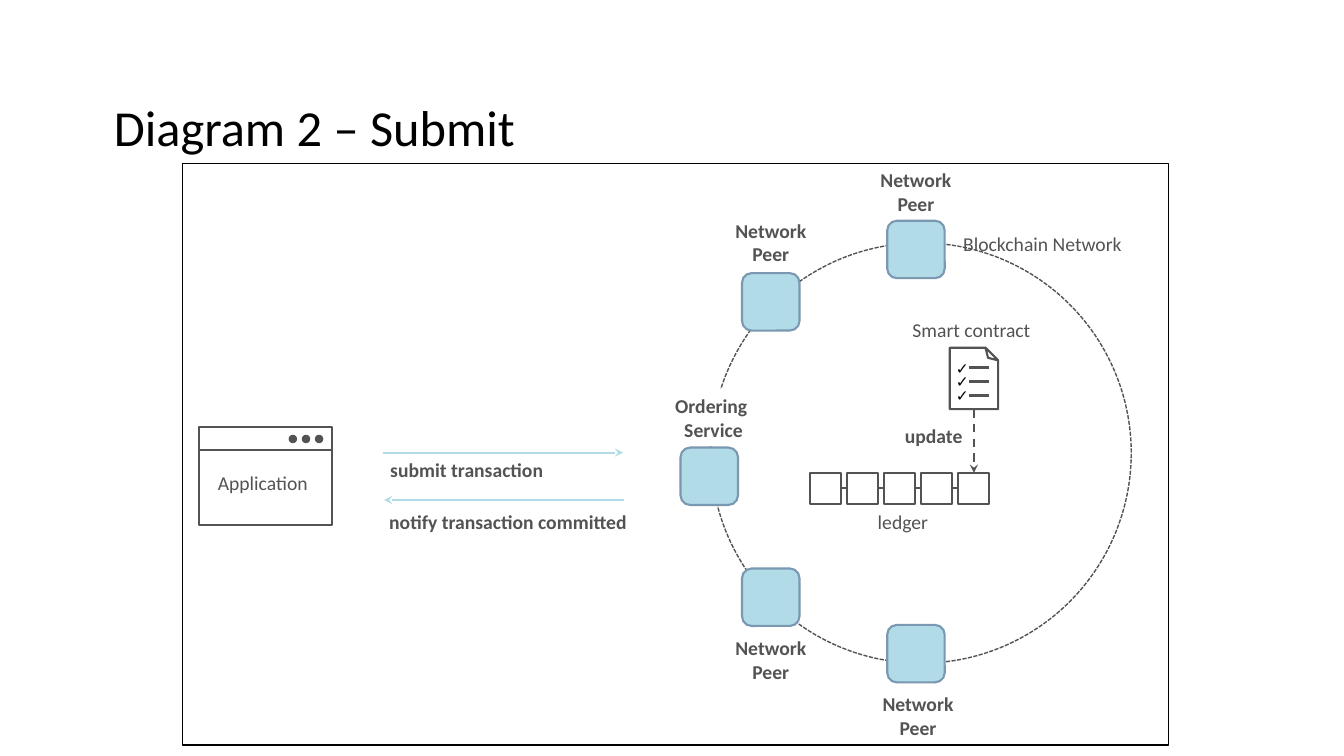
"""Build the slide that shows how an application submits a transaction."""
from pptx import Presentation
from pptx.dml.color import RGBColor
from pptx.enum.dml import MSO_LINE
from pptx.enum.shapes import MSO_CONNECTOR, MSO_SHAPE
from pptx.enum.text import MSO_ANCHOR, MSO_AUTO_SIZE, PP_ALIGN
from pptx.oxml.ns import qn
from pptx.util import Inches, Pt
from lxml import etree

RECT, OVAL = MSO_SHAPE.RECTANGLE, MSO_SHAPE.OVAL
ROUND, FOLD = MSO_SHAPE.ROUNDED_RECTANGLE, MSO_SHAPE.FOLDED_CORNER
LEFT, CENTER = PP_ALIGN.LEFT, PP_ALIGN.CENTER
DASH, DOTS = MSO_LINE.DASH, MSO_LINE.SQUARE_DOT
STRAIGHT = MSO_CONNECTOR.STRAIGHT
MIDDLE = MSO_ANCHOR.MIDDLE
GROW, FIXED = MSO_AUTO_SIZE.SHAPE_TO_FIT_TEXT, MSO_AUTO_SIZE.NONE
GREY, BLUE, EDGE, BLACK, WHITE = "535353", "B1DBE6", "7A98B2", "000000", "FFFFFF"

COLS, ROWS = 13.33, 7.5
TITLE = "Diagram 2 – Submit"
TITLE_BOX = (1.08, 0.57, 11.5, 1.45)
FRAME = (1.81, 1.62, 9.78, 5.77)
RING = (7.05, 2.41, 4.17, 4.17)
SIDE = 0.57
NODES = [
    (6.75, 4.44, "Ordering\n Service", -0.58, 0.02, WHITE),
    (7.36, 5.64, "Network \nPeer", 0.62, 0, None),
    (7.36, 2.71, "Network\nPeer", -0.59, 0, WHITE),
    (8.8, 6.2, "Network \nPeer", 0.62, 0.02, None),
    (8.8, 2.19, "Network\nPeer", -0.57, 0, None),
]
LABEL = 0.84
APP = (1.97, 4.24, 1.32, 0.97)
BAR = 0.22
DOT, DOT_STEP, DOT_COUNT = 0.07, 0.13, 3
CALLS = [((3.8, 4.49), (6.18, 4.49)), ((6.19, 4.96), (3.81, 4.96))]
PAGE = (9.42, 3.45, 0.48, 0.61)
CHECK, CHECK_STEP, CHECK_COUNT = 3.51, 0.27 / 2, 3
CELL, CELL_COUNT = 0.31, 5
CHAIN, CHAIN_END = (8.03, 4.69), 9.5
CELL_STEP = (CHAIN_END - CHAIN[0]) / (CELL_COUNT - 1)
NOTES = [
    ("Application", (2.11, 4.62, 1.01, 0.34), {"align": LEFT}),
    ("submit transaction", (3.81, 4.49, 1.64, 0.34), {"bold": True}),
    ("notify transaction committed", (3.81, 5.01, 2.58, 0.34),
     {"bold": True, "align": LEFT, "wrap": True}),
    ("Smart contract", (8.98, 3.11, 1.31, 0.34), {}),
    ("update", (8.92, 4.16, 0.68, 0.34), {"bold": True}),
    ("ledger", (8.65, 5.01, 0.61, 0.34), {}),
    ("Blockchain Network", (9.47, 2.25, 1.74, 0.34), {}),
]

deck = Presentation()
deck.slide_width, deck.slide_height = Inches(COLS), Inches(ROWS)
slide = deck.slides.add_slide(deck.slide_layouts[5])


def tint(code):
    return RGBColor.from_string(code)


def grid(box):
    return [Inches(part) for part in box]


def write(frame, text, size=14, color=GREY, bold=False, align=CENTER,
          wrap=False, fit=GROW):
    frame.margin_left = frame.margin_right = Inches(0.05)
    frame.margin_top = frame.margin_bottom = Inches(0.05)
    frame.word_wrap, frame.auto_size = wrap, fit
    frame.text = text
    for para in frame.paragraphs:
        para.alignment = align
        font = para.runs[0].font
        font.name, font.size, font.bold = "Calibri", Pt(size), bold
        font.color.rgb = tint(color)


def note(text, box, fill=None, **style):
    shape = slide.shapes.add_textbox(*grid(box))
    if fill:
        shape.fill.solid()
        shape.fill.fore_color.rgb = tint(fill)
    write(shape.text_frame, text, **style)


def draw(kind, box, fill=None, line=GREY, width=1.5, dash=None):
    shape = slide.shapes.add_shape(kind, *grid(box))
    shape.shadow.inherit = False
    if fill:
        shape.fill.solid()
        shape.fill.fore_color.rgb = tint(fill)
    else:
        shape.fill.background()
    shape.line.color.rgb, shape.line.width = tint(line), Pt(width)
    if dash:
        shape.line.dash_style = dash
    return shape


def link(start, end, color=GREY, width=1.5, dash=None, arrow=False):
    wire = slide.shapes.add_connector(STRAIGHT, *grid(start + end))
    wire.line.color.rgb, wire.line.width = tint(color), Pt(width)
    if dash:
        wire.line.dash_style = dash
    props = wire._element.spPr
    if arrow:
        etree.SubElement(props.find(qn("a:ln")), qn("a:tailEnd"), type="stealth")
    etree.SubElement(props, qn("a:effectLst"))


def main():
    title = slide.shapes.title
    title.left, title.top, title.width, title.height = grid(TITLE_BOX)
    write(title.text_frame, TITLE, size=36, color=BLACK, align=LEFT,
          wrap=True, fit=FIXED)
    title.text_frame.vertical_anchor = MIDDLE
    title.text_frame.paragraphs[0].line_spacing = 0.9

    draw(OVAL, RING, width=1, dash=DOTS)
    draw(RECT, FRAME, line=BLACK, width=1)

    left, top, wide, _ = APP
    draw(RECT, APP)
    link((left, top + BAR), (left + wide, top + BAR))
    for i in range(DOT_COUNT):
        draw(OVAL, (left + 0.9 + i * DOT_STEP, top + 0.08, DOT, DOT), fill=GREY, width=1)

    for start, end in CALLS:
        link(start, end, color=BLUE, arrow=True)

    for x, y, name, rise, shift, back in NODES:
        place = (x + (SIDE - LABEL) / 2 + shift, y + rise, LABEL, SIDE)
        note(name, place, fill=back, bold=True)
        draw(ROUND, (x, y, SIDE, SIDE), fill=BLUE, line=EDGE)

    props = draw(FOLD, PAGE)._element.spPr
    props.find(qn("a:xfrm")).set("flipV", "1")
    guides = props.find(qn("a:prstGeom")).find(qn("a:avLst"))
    etree.SubElement(guides, qn("a:gd"), name="adj", fmla="val 26100")
    for i in range(CHECK_COUNT):
        y = CHECK + i * CHECK_STEP
        note("✓", (9.43, y, 0.18, 0.29), size=11, color=BLACK, bold=True,
             align=LEFT, wrap=True)
        link((9.61, y + 0.14), (9.81, y + 0.14), width=2.25)

    left, top = CHAIN
    for i in range(CELL_COUNT):
        x = left + i * CELL_STEP
        draw(RECT, (x, top, CELL, CELL))
        if i:
            mid = top + CELL / 2
            link((x - CELL_STEP + CELL, mid), (x, mid))
    link((9.66, PAGE[1] + PAGE[3]), (9.66, top), dash=DASH, arrow=True)

    for text, box, style in NOTES:
        note(text, box, **style)
    deck.save("out.pptx")


if __name__ == "__main__":
    main()
